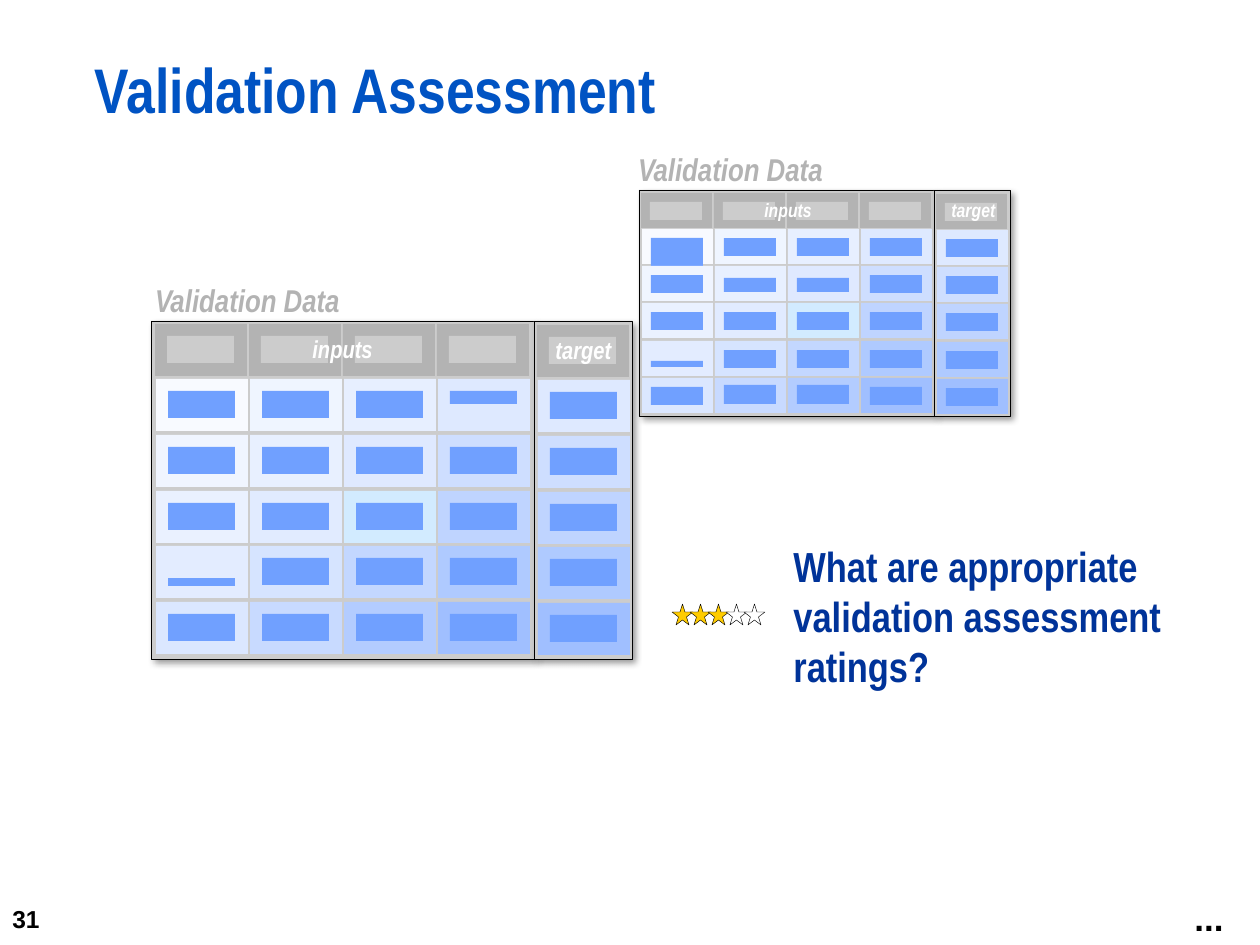
from lxml import etree
from pptx import Presentation
from pptx.dml.color import RGBColor
from pptx.enum import shapes, text
from pptx.oxml.ns import qn
from pptx import util as u

PX = 914400 / 126
THEME = {
    "title": "0053C3", "ask": "003399", "ink": "000000", "white": "FFFFFF",
    "panel": "CCCCCC", "head": "B3B3B3", "bar": "70A0FF", "star": "FFCC00",
    "narrow": "Arial Narrow", "plain": "Arial",
    "title_pt": 36, "ask_pt": 24, "dots_pt": 20, "label_pt": 18, "page_pt": 14,
    # one list per column, top to bottom; the last is the target
    "cells": [
        ["F8FAFF", "F0F5FF", "EAF1FF", "E3ECFF", "DBE7FF"],
        ["EFF5FF", "E8F0FF", "E1EBFF", "D6E4FF", "C8DAFF"],
        ["E7EFFF", "DFE9FF", "D2EBFF", "C3D7FF", "B3CCFF"],
        ["DEE9FF", "CEDEFF", "BFD4FF", "AFCAFF", "A0BFFF"],
        ["DEE9FF", "CEDEFF", "BFD4FF", "AFCAFF", "A0BFFF"],
    ],
}
# odd: (column, row) -> bar offset and height where it differs from the rest
TABLES = [
    {"box": (639, 190, 295, 226), "side": 76, "cell": (71, 35), "bar": (9, 9, 52, 18),
     "x": 642, "y": 229, "step": 73, "span": 149, "goal": 937, "head": 193, "pt": 11,
     "odd": {(0, 0): (9, 29 + 10), (0, 3): (20, 6), (1, 1): (12, 14), (2, 1): (12, 14),
             (1, 4): (7, 19), (2, 4): (7, 19)},
     "inputs": (752, 192, 73, 37), "target": (939, 192, 69, 37), "label": (624, 144, 213, 50)},
    {"box": (151, 321, 383, 338), "side": 98, "cell": (92, 52), "bar": (12, 12, 67, 27),
     "x": 156, "y": 379, "step": 94, "span": 223, "goal": 538, "head": 324, "pt": 14,
     "odd": {(3, 0): (12, 13), (0, 3): (32, 8)},
     "inputs": (300, 328, 87, 43), "target": (543, 329, 82, 43), "label": (141, 275, 213, 50)},
]


def draw(home, box, fill, kind=shapes.MSO_SHAPE.RECTANGLE, edge=False, cast=False):
    """Add a filled shape, with a thin edge and a cast shadow when asked."""
    form = home.add_shape(kind, *[round(n * PX) for n in box])
    form.shadow.inherit = False
    form.fill.solid()
    form.fill.fore_color.rgb = RGBColor.from_string(fill)
    if edge:
        form.line.color.rgb = RGBColor.from_string(THEME["ink"])
        form.line.width = u.Pt(0.25)
    else:
        form.line.fill.background()
    if cast:
        glow = etree.SubElement(form._element.spPr.find(qn("a:effectLst")), qn("a:outerShdw"),
                                blurRad=str(u.Pt(4)), dist=str(u.Pt(3)), dir="2700000",
                                algn="tl", rotWithShape="0")
        tint = etree.SubElement(glow, qn("a:srgbClr"), val=THEME["ink"])
        etree.SubElement(tint, qn("a:alpha"), val="40000")


def write(home, box, words, pt, tone, font=THEME["narrow"], slant=False, wrap=False):
    note = home.add_textbox(*[round(n * PX) for n in box])
    frame = note.text_frame
    frame.text = words
    frame.word_wrap = wrap
    for para in frame.paragraphs:
        for run in para.runs:
            run.font.name = font
            run.font.size = u.Pt(pt)
            run.font.bold = True
            run.font.italic = slant
            run.font.color.rgb = RGBColor.from_string(THEME[tone])
    return frame


deck = Presentation()
deck.slide_width, deck.slide_height = round(1260 * PX), round(945 * PX)
slide = deck.slides.add_slide(deck.slide_layouts[6])
page = slide.shapes

# page number, title and closing dots
frame = write(page, (0, 892, 73, 53), "31", THEME["page_pt"], "ink", THEME["plain"])
frame.vertical_anchor = text.MSO_ANCHOR.MIDDLE
frame = write(page, (95, 63, 1165, 95), "Validation Assessment", THEME["title_pt"], "title", wrap=True)
frame.margin_left = frame.margin_top = frame.margin_right = frame.margin_bottom = 0
frame.paragraphs[0].line_spacing = 0.83
write(page, (1182, 890, 54, 55), "...", THEME["dots_pt"], "ink", THEME["plain"])

# rating: three stars of five
stars = page.add_group_shape().shapes
for i in range(5):
    draw(stars, (672 + 18 * i, 604, 21, 21), THEME["star" if i < 3 else "white"],
         shapes.MSO_SHAPE.STAR_5_POINT, edge=True)

# data tables
for t in TABLES:
    grid = page.add_group_shape().shapes
    left, top, wide, high = t["box"]
    dx, dy, bw, bh = t["bar"]
    for col, tones in enumerate(THEME["cells"]):
        goal = col == 4
        if col == 0:
            draw(grid, t["box"], THEME["panel"], edge=True, cast=True)
        if goal:
            write(grid, t["inputs"], "inputs", t["pt"], "white", slant=True)
            draw(grid, (left + wide, top, t["side"], high), THEME["panel"], edge=True, cast=True)
        x = t["goal"] if goal else t["x"] + col * t["step"]
        for row, tone in enumerate(tones):
            y = t["y"] + round(row * t["span"] / 4) + goal
            off, tall = t["odd"].get((col, row), (dy, bh))
            draw(grid, (x, y, *t["cell"]), tone)
            draw(grid, (x + dx, y + off, bw, tall), THEME["bar"])
        draw(grid, (x - 1, t["head"] + goal, *t["cell"]), THEME["head"])
        draw(grid, (x - 1 + dx, t["head"] + goal + dy, bw, bh), THEME["panel"])
    write(grid, t["target"], "target", t["pt"], "white", slant=True)
    frame = write(page, t["label"], "Validation Data", THEME["label_pt"], "head", slant=True)
    frame.paragraphs[0].alignment = text.PP_ALIGN.CENTER

write(page, (781, 534, 432, 165), "What are appropriate validation assessment\nratings?",
      THEME["ask_pt"], "ask", wrap=True)

deck.save("out.pptx")
